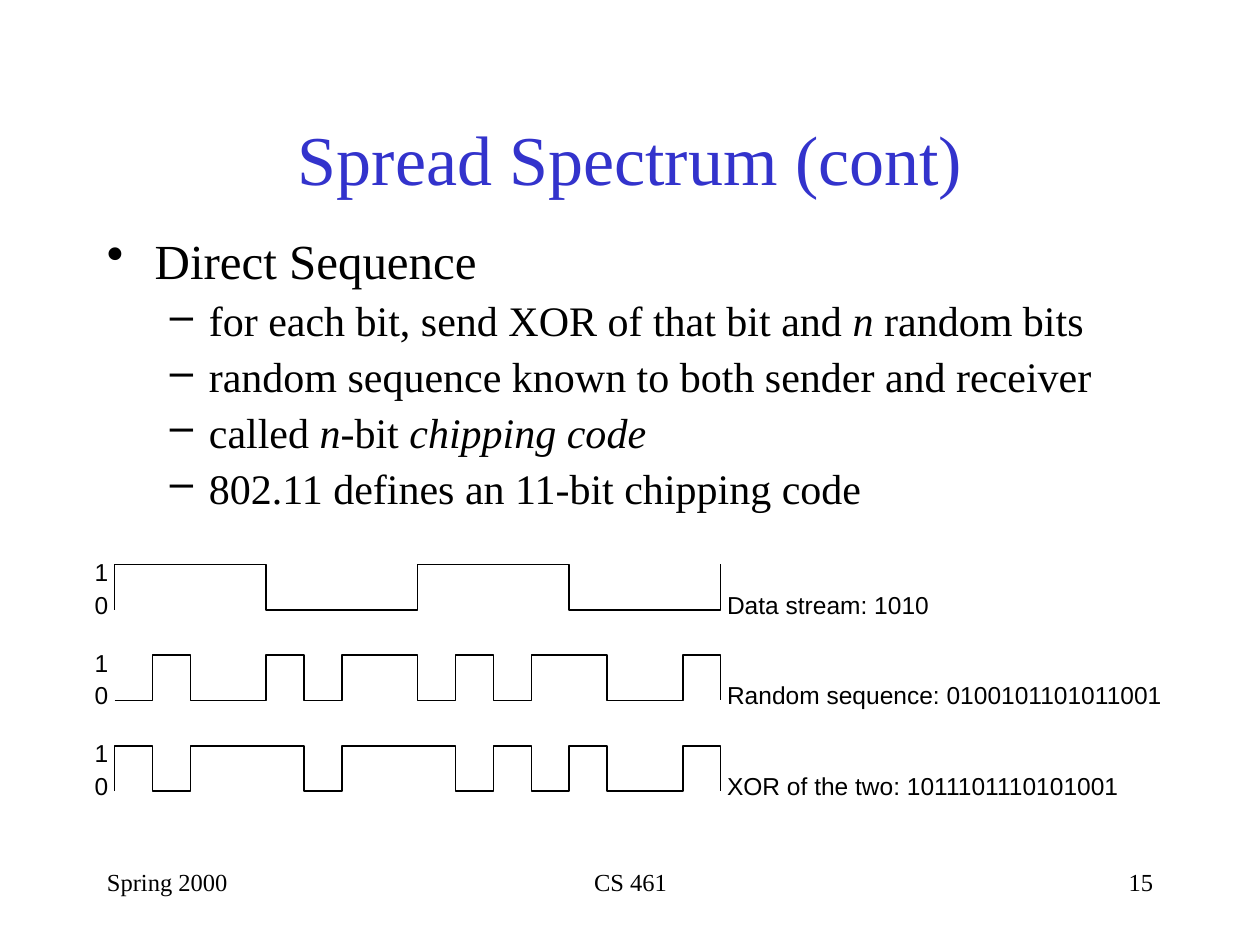
"""Build a slide on direct sequence spread spectrum with its three bit waveforms."""
from lxml import etree
from pptx import Presentation
from pptx.dml.color import RGBColor
from pptx.enum.text import MSO_ANCHOR, PP_ALIGN
from pptx.oxml.ns import qn
from pptx.util import Inches, Pt

MIDDLE = MSO_ANCHOR.MIDDLE
LEFT, CENTER, RIGHT = PP_ALIGN.LEFT, PP_ALIGN.CENTER, PP_ALIGN.RIGHT
BLACK = RGBColor(0x00, 0x00, 0x00)
BLUE = RGBColor(0x33, 0x33, 0xCC)
SERIF, SANS = "Times New Roman", "Arial"

WAVE_LEFT, WAVE_WIDTH, WAVE_HEIGHT = 0.91, 4.81, 0.36
WAVE_TOP, WAVE_PITCH = 4.48, 0.72
WAVES = [
    ("Data stream: ", "1010"),
    ("Random sequence: ", "0100101101011001"),
    ("XOR of the two: ", "1011101110101001"),
]
POINTS = [
    ["for each bit, send XOR of that bit and ", "n", " random bits"],
    ["random sequence known to both sender and receiver"],
    ["called ", "n", "-bit ", "chipping code"],
    ["802.11 defines an 11-bit chipping code"],
]
FOOTERS = [
    ("Spring 2000", 0.75, 2.08, LEFT),
    ("CS 461", 3.42, 3.17, CENTER),
    ("15", 7.17, 2.08, RIGHT),
]


def style(para, size, name=SERIF, color=BLACK):
    """Set the font of a whole paragraph."""
    para.font.size = Pt(size)
    para.font.name = name
    para.font.color.rgb = color


def add_title(slide, text):
    """Place and format the title placeholder."""
    title = slide.shapes.title
    title.left, title.top = Inches(0.75), Inches(0.75)
    title.width, title.height = Inches(8.5), Inches(1)
    title.text_frame.text = text
    title.text_frame.vertical_anchor = MIDDLE
    para = title.text_frame.paragraphs[0]
    para.alignment = CENTER
    style(para, 40, color=BLUE)


def add_bullet(para, parts, size, mark, margin, hang):
    """Fill a bulleted paragraph whose every second part is italic."""
    para.line_spacing = 0.9
    properties = para._p.get_or_add_pPr()
    properties.set("marL", str(Inches(margin)))
    properties.set("indent", str(-Inches(hang)))
    etree.SubElement(properties, qn("a:buChar")).set("char", mark)
    style(para, size)
    for index, part in enumerate(parts):
        span = para.add_run()
        span.text = part
        if index % 2:
            span.font.italic = True


def add_body(slide):
    """Add the topic and its points."""
    box = slide.shapes.add_textbox(Inches(0.75), Inches(1.83), Inches(8.5), Inches(4.5))
    frame = box.text_frame
    frame.word_wrap = True
    add_bullet(frame.paragraphs[0], ["Direct Sequence"], 28, "•", 0.38, 0.38)
    for parts in POINTS:
        para = frame.add_paragraph()
        para.level = 1
        para.space_before = Pt(6)
        add_bullet(para, parts, 24, "–", 0.81, 0.31)


def add_label(slide, text, left, top, width):
    """Add a small label without margins."""
    box = slide.shapes.add_textbox(Inches(left), Inches(top), Inches(width), Inches(0.23))
    frame = box.text_frame
    frame.margin_left = frame.margin_right = frame.margin_top = frame.margin_bottom = 0
    frame.word_wrap = False
    frame.text = text
    style(frame.paragraphs[0], 14, SANS)


def add_wave(slide, bits, top):
    """Draw bits as a square wave that starts low and ends with a swing."""
    levels = {"1": Inches(top), "0": Inches(top + WAVE_HEIGHT)}
    step = WAVE_WIDTH / len(bits)
    corners = []
    level = "0"
    for index, bit in enumerate(bits):
        if bit != level:
            corners.append((Inches(WAVE_LEFT + index * step), levels[bit]))
        elif index:
            corners.pop()
        corners.append((Inches(WAVE_LEFT + (index + 1) * step), levels[bit]))
        level = bit
    swing = "0" if level == "1" else "1"
    corners.append((Inches(WAVE_LEFT + WAVE_WIDTH), levels[swing]))
    builder = slide.shapes.build_freeform(Inches(WAVE_LEFT), levels["0"])
    builder.add_line_segments(corners, close=False)
    wave = builder.convert_to_shape()
    wave.shadow.inherit = False
    wave.fill.background()
    wave.line.color.rgb = BLACK
    wave.line.width = Pt(0.88)


def add_footer(slide, text, left, width, alignment):
    """Add one part of the footer."""
    box = slide.shapes.add_textbox(Inches(left), Inches(6.83), Inches(width), Inches(0.5))
    box.text_frame.word_wrap = True
    box.text_frame.text = text
    para = box.text_frame.paragraphs[0]
    para.alignment = alignment
    style(para, 14)


def main():
    """Build and save the deck."""
    deck = Presentation()
    deck.slide_width, deck.slide_height = Inches(10), Inches(7.5)
    slide = deck.slides.add_slide(deck.slide_layouts[5])
    add_title(slide, "Spread Spectrum (cont)")
    add_body(slide)
    for index, (caption, bits) in enumerate(WAVES):
        top = WAVE_TOP + index * WAVE_PITCH
        add_wave(slide, bits, top)
        add_label(slide, "1", 0.75, top - 0.06, 0.11)
        add_label(slide, "0", 0.75, top + 0.2, 0.11)
        add_label(slide, caption + bits, 5.77, top + 0.2, 3.48)
    for footer in FOOTERS:
        add_footer(slide, *footer)
    deck.save("out.pptx")


if __name__ == "__main__":
    main()
